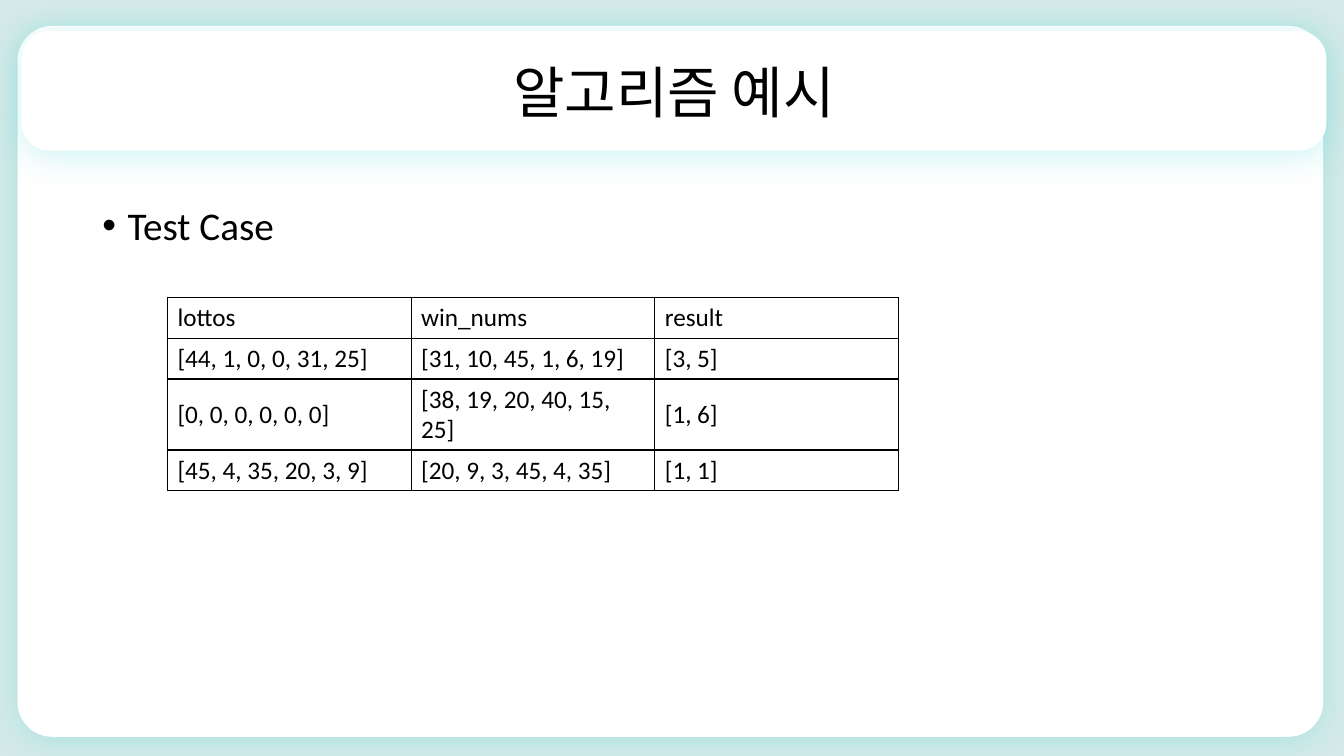
from lxml.etree import SubElement
from pptx import Presentation
from pptx.dml.color import RGBColor
from pptx.enum.shapes import MSO_SHAPE
from pptx.enum.text import MSO_ANCHOR, PP_ALIGN
from pptx.oxml import parse_xml
from pptx.oxml.ns import nsdecls, qn
from pptx.util import Cm, Pt

MINT = RGBColor(0xD4, 0xEA, 0xE8)
TEAL = RGBColor(0x18, 0xCA, 0xCA)
WHITE = RGBColor(0xFF, 0xFF, 0xFF)
BLACK = RGBColor(0x00, 0x00, 0x00)
FONT = "Calibri"

SLIDE_WIDTH, SLIDE_HEIGHT = Cm(33.87), Cm(19.05)
TEST_CASES = [
    ("lottos", "win_nums", "result"),
    ("[44, 1, 0, 0, 31, 25]", "[31, 10, 45, 1, 6, 19]", "[3, 5]"),
    ("[0, 0, 0, 0, 0, 0]", "[38, 19, 20, 40, 15, 25]", "[1, 6]"),
    ("[45, 4, 35, 20, 3, 9]", "[20, 9, 3, 45, 4, 35]", "[1, 1]"),
]
ROW_HEIGHT, WRAPPED_ROW_HEIGHT = Cm(1.03), Cm(1.79)
WRAPPED_ROW = 2


def write(text_frame, text, size):
    text_frame.text = text
    paragraph = text_frame.paragraphs[0]
    font = paragraph.runs[0].font
    font.name = FONT
    font.size = Pt(size)
    font.color.rgb = BLACK
    return paragraph


def add_panel(slide, kind, box, color):
    shape = slide.shapes.add_shape(kind, *box)
    shape.shadow.inherit = False
    shape.fill.solid()
    shape.fill.fore_color.rgb = color
    shape.line.color.rgb = color
    shape.line.width = Pt(1)
    return shape


def add_card(slide, box, corner):
    card = add_panel(slide, MSO_SHAPE.ROUNDED_RECTANGLE, box, WHITE)
    card.adjustments[0] = corner
    effects = card._element.spPr.find(qn("a:effectLst"))
    effects.append(parse_xml(
        f'<a:outerShdw {nsdecls("a")} blurRad="{Pt(23)}" dist="{Pt(3)}" dir="5400000" '
        f'algn="t" rotWithShape="0"><a:srgbClr val="{TEAL}"><a:alpha val="20000"/>'
        '</a:srgbClr></a:outerShdw>'))
    return card


def add_frame(slide, box):
    left, top, width, height = box
    add_panel(slide, MSO_SHAPE.RECTANGLE, box, MINT)
    add_card(slide, (left + Cm(0.46), top + Cm(0.67),
                     width - Cm(1), height - Cm(1.17)), 0.048)


def add_title(slide, box, text):
    card = add_card(slide, box, 0.23)
    card.text_frame.vertical_anchor = MSO_ANCHOR.MIDDLE
    write(card.text_frame, text, 40).alignment = PP_ALIGN.CENTER


def add_bullet(slide, box, text):
    text_frame = slide.shapes.add_textbox(*box).text_frame
    text_frame.word_wrap = True
    paragraph = write(text_frame, text, 28)
    paragraph.line_spacing = 0.9
    paragraph.space_before = Pt(10)
    properties = paragraph._p.get_or_add_pPr()
    properties.set("marL", str(Pt(18)))
    properties.set("indent", str(-Pt(18)))
    SubElement(properties, qn("a:buFont")).set("typeface", "Arial")
    SubElement(properties, qn("a:buChar")).set("char", "•")


def add_borders(cell):
    properties = cell._tc.get_or_add_tcPr()
    for position, side in enumerate(("lnL", "lnR", "lnT", "lnB")):
        properties.insert(position, parse_xml(
            f'<a:{side} {nsdecls("a")} w="{Pt(1)}"><a:solidFill>'
            f'<a:srgbClr val="{BLACK}"/></a:solidFill></a:{side}>'))


def add_test_table(slide, box, rows):
    table = slide.shapes.add_table(len(rows), len(rows[0]), *box).table
    table.first_row = False
    table.horz_banding = False
    for column in table.columns:
        column.width = box[2] // len(rows[0])
    for row_index, values in enumerate(rows):
        wrapped = row_index == WRAPPED_ROW
        table.rows[row_index].height = WRAPPED_ROW_HEIGHT if wrapped else ROW_HEIGHT
        for column_index, value in enumerate(values):
            cell = table.cell(row_index, column_index)
            cell.fill.background()
            cell.vertical_anchor = MSO_ANCHOR.MIDDLE
            write(cell.text_frame, value, 18)
            add_borders(cell)


def main():
    presentation = Presentation()
    presentation.slide_width = SLIDE_WIDTH
    presentation.slide_height = SLIDE_HEIGHT
    slide = presentation.slides.add_slide(presentation.slide_layouts[6])
    add_frame(slide, (0, 0, SLIDE_WIDTH, SLIDE_HEIGHT))
    add_title(slide, (Cm(0.56), Cm(0.8), Cm(32.85), Cm(2.98)), "알고리즘 예시")
    add_bullet(slide, (Cm(2.33), Cm(5.08), Cm(29.21), Cm(12.09)), "Test Case")
    table_height = ROW_HEIGHT * (len(TEST_CASES) - 1) + WRAPPED_ROW_HEIGHT
    add_test_table(slide, (Cm(4.22), Cm(7.49), Cm(18.42), table_height), TEST_CASES)
    presentation.save("out.pptx")


if __name__ == "__main__":
    main()
